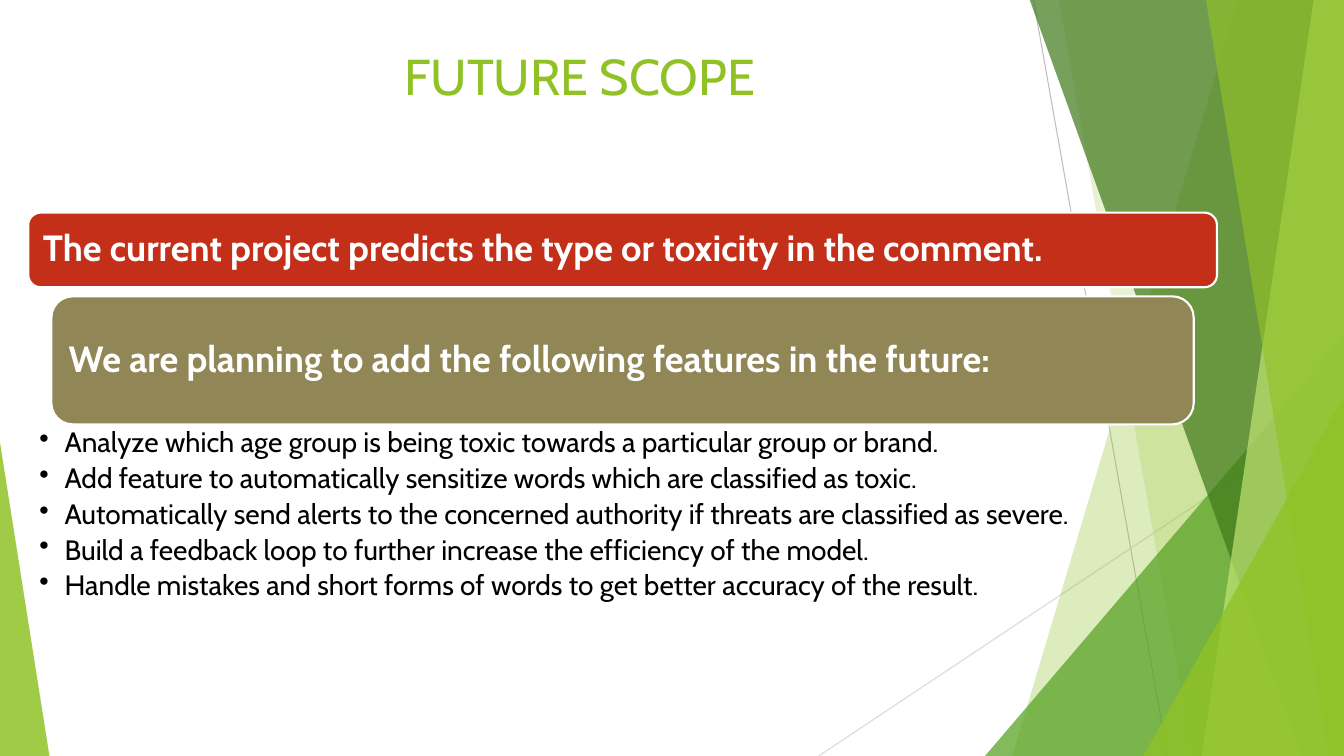
"""Build the Future Scope slide with its faceted green backdrop."""
from lxml import etree
from pptx import Presentation
from pptx.dml.color import RGBColor
from pptx.enum.shapes import MSO_CONNECTOR, MSO_SHAPE
from pptx.enum.text import MSO_ANCHOR, PP_ALIGN
from pptx.oxml.ns import qn
from pptx.util import Inches, Pt

STRAIGHT = MSO_CONNECTOR.STRAIGHT
TRIANGLE, ROUNDED = MSO_SHAPE.ISOSCELES_TRIANGLE, MSO_SHAPE.ROUNDED_RECTANGLE
TOP, MIDDLE = MSO_ANCHOR.TOP, MSO_ANCHOR.MIDDLE
LEFT, CENTER = PP_ALIGN.LEFT, PP_ALIGN.CENTER

W, H = 13.33, 7.5
FACET_TOP = -0.01
THEME = {
    "font": "Cabin", "title_size": 36, "banner_size": 26, "bullet_size": 20,
    "green": "90C226", "leaf": "54A021", "forest": "3F7819", "lime": "C0E474",
    "red": "C42F1A", "olive": "918655", "white": "FFFFFF", "black": "000000",
    "gray": "BFBFBF", "pale": "D9D9D9",
}

TITLE = "FUTURE SCOPE"
BANNERS = [
    ("The current project predicts the type or toxicity in the comment.",
     (0.28, 2.11, 11.79, 0.74), "red"),
    ("We are planning to add the following features in the future:",
     (0.51, 2.94, 11.33, 1.27), "olive"),
]
FEATURES = [
    "Analyze which age group is being toxic towards a particular group or brand.",
    "Add feature to automatically sensitize words which are classified as toxic.",
    "Automatically send alerts to the concerned authority if threats are classified as severe.",
    "Build a feedback loop to further increase the efficiency of the model.",
    "Handle mistakes and short forms of words to get better accuracy of the result.",
]
RULES = [((10.25, 0), (11.58, H), "gray"), ((W, 4.03), (8.12, H), "pale")]
BACKDROP = [
    ("facet", (12.28, 10.04), "green", 30),
    ("facet", (10.5, 11.83), "green", 20),
    ("triangle", (9.77, 3.33, 3.56, 4.17, 1), "leaf", 72),
    ("facet", (10.21, 12.91), "forest", 70),
    ("facet", (13.03, 11.92), "lime", 70),
    ("facet", (11.96, 13.18), "green", 65),
    ("triangle", (11.34, 3.93, 1.99, 3.57, 1), "green", 80),
    ("triangle", (0, 4.39, 0.49, 3.11, 0), "green", 85),
]


def color(name):
    return RGBColor.from_string(THEME[name])


def paint(shape, fill, opacity=100):
    shape.shadow.inherit = False
    shape.fill.solid()
    shape.fill.fore_color.rgb = color(fill)
    shape.line.fill.background()
    if opacity < 100:
        clr = shape._element.spPr.find(".//" + qn("a:srgbClr"))
        etree.SubElement(clr, qn("a:alpha"), val=str(opacity * 1000))


def add_rule(s, start, end, tone):
    rule = s.shapes.add_connector(STRAIGHT, *map(Inches, start + end))
    rule.line.color.rgb = color(tone)
    rule.line.width = Pt(0.75)
    etree.SubElement(rule._element.spPr, qn("a:effectLst"))


def add_facet(s, top_x, bottom_x):
    corners = [(W, FACET_TOP), (W, H), (bottom_x, H)]
    outline = s.shapes.build_freeform(Inches(top_x), Inches(FACET_TOP))
    outline.add_line_segments([(Inches(x), Inches(y)) for x, y in corners])
    return outline.convert_to_shape()


def add_triangle(s, x, y, w, h, apex):
    sp = s.shapes.add_shape(TRIANGLE, *map(Inches, (x, y, w, h)))
    sp.adjustments[0] = apex
    return sp


def write(sp, lines, size, tone, insets, anchor=TOP, align=LEFT, bold=False):
    tf = sp.text_frame
    tf.word_wrap = True
    tf.vertical_anchor = anchor
    tf.margin_left, tf.margin_top, tf.margin_right, tf.margin_bottom = map(Inches, insets)
    tf.text = "\n".join(lines)
    for p in tf.paragraphs:
        p.alignment = align
        for r in p.runs:
            r.font.name = THEME["font"]
            r.font.size = Pt(THEME[size])
            r.font.color.rgb = color(tone)
            r.font.bold = bold
    return tf


def add_banner(s, text, box, fill):
    sp = s.shapes.add_shape(ROUNDED, *map(Inches, box))
    paint(sp, fill)
    sp.line.color.rgb = color("white")
    sp.line.width = Pt(1.5)
    tf = write(sp, [text], "banner_size", "white", (0.11,) * 4, MIDDLE, bold=True)
    tf.paragraphs[0].line_spacing = 0.9


def add_features(s):
    sp = s.shapes.add_textbox(*map(Inches, (0, 4.21, 12.34, 2.44)))
    tf = write(sp, FEATURES, "bullet_size", "black", (0.39, 0.04, 0.2, 0.04))
    for p in tf.paragraphs:
        p.line_spacing = 0.9
        p.space_after = Pt(4)
        pPr = p._p.get_or_add_pPr()
        pPr.set("marL", str(Inches(0.25)))
        pPr.set("indent", str(Inches(-0.25)))
        etree.SubElement(pPr, qn("a:buChar"), char="•")


def main():
    prs = Presentation()
    prs.slide_width, prs.slide_height = Inches(W), Inches(H)
    s = prs.slides.add_slide(prs.slide_layouts[6])
    for start, end, tone in RULES:
        add_rule(s, start, end, tone)
    builders = {"facet": add_facet, "triangle": add_triangle}
    for kind, geometry, fill, opacity in BACKDROP:
        paint(builders[kind](s, *geometry), fill, opacity)
    title = s.shapes.add_textbox(*map(Inches, (0, 0.4, 11.5, 1.45)))
    write(title, [TITLE], "title_size", "green", (0.1, 0.05, 0.1, 0.05), align=CENTER)
    for text, box, fill in BANNERS:
        add_banner(s, text, box, fill)
    add_features(s)
    prs.save("out.pptx")


if __name__ == "__main__":
    main()
